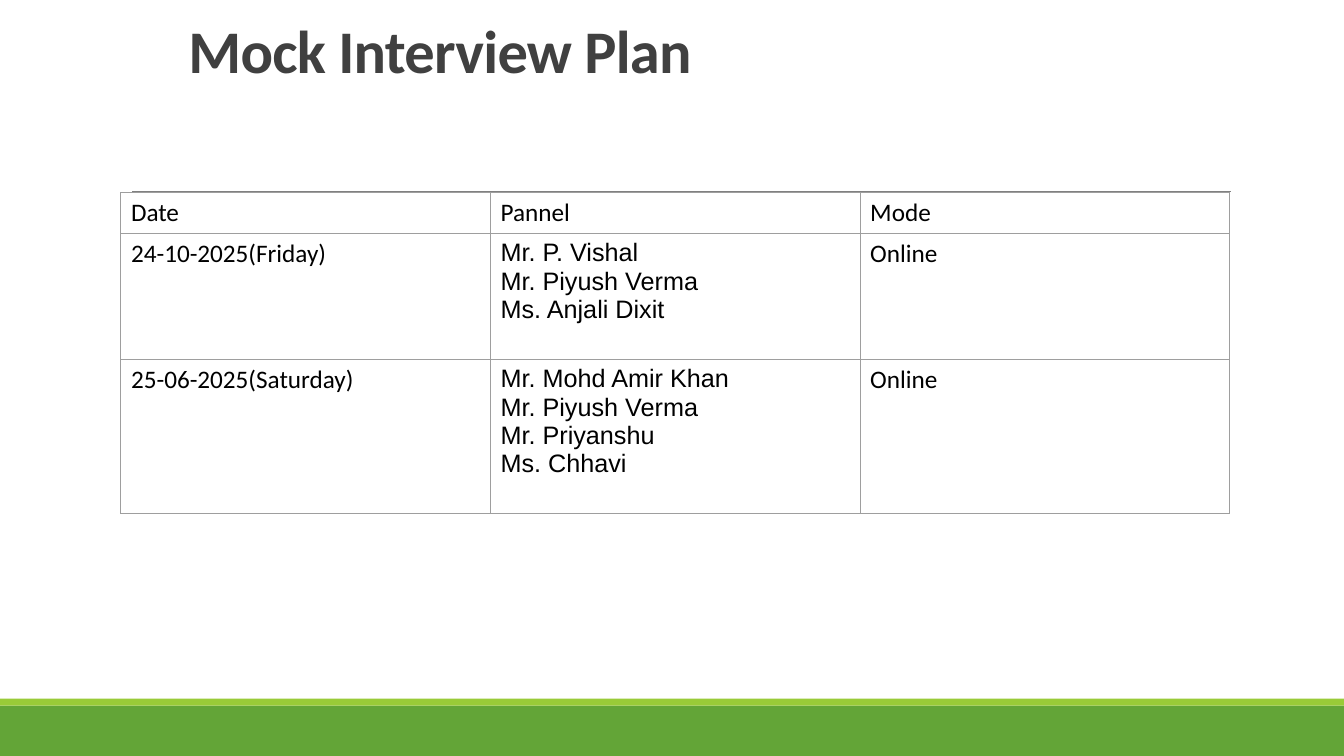
"""Build the mock interview plan slide with its schedule table."""
from dataclasses import dataclass

from lxml import etree
from pptx import Presentation
from pptx import util as u
from pptx.dml.color import RGBColor
from pptx.enum import shapes, text
from pptx.oxml.ns import qn

WIDTH, HEIGHT = u.Inches(13.33), u.Inches(7.5)
GREEN = RGBColor(0x63, 0xA5, 0x37)
LIME = RGBColor(0x99, 0xCB, 0x38)
RULE_GREY = RGBColor(0x80, 0x80, 0x80)
BORDER_GREY = RGBColor(0x9E, 0x9E, 0x9E)
TITLE_GREY = RGBColor(0x40, 0x40, 0x40)
BLACK = RGBColor(0, 0, 0)
COLUMN_SHARE = 27.5
BORDER_SIDES = ("a:lnL", "a:lnR", "a:lnT", "a:lnB")


def across(percent: float) -> int:
    return round(WIDTH * percent / 100)


def down(percent: float) -> int:
    return round(HEIGHT * percent / 100)


@dataclass(frozen=True)
class Band:
    top: float
    height: float
    colour: RGBColor


@dataclass(frozen=True)
class Session:
    height: float
    date: str
    panel: tuple[str, ...]
    mode: str
    panel_font: str = "Arial"


BANDS = (Band(93.33, 6.67, GREEN), Band(92.4, 0.93, LIME))
SESSIONS = (
    Session(5.47, "Date", ("Pannel",), "Mode", "Calibri"),
    Session(16.67, "24-10-2025(Friday)",
            ("Mr. P. Vishal", "Mr. Piyush Verma", "Ms. Anjali Dixit"), "Online"),
    Session(20.27, "25-06-2025(Saturday)",
            ("Mr. Mohd Amir Khan", "Mr. Piyush Verma", "Mr. Priyanshu", "Ms. Chhavi"),
            "Online"),
)


def add_span(para, wording: str, font: str, size: float, colour: RGBColor):
    span = para.add_run()
    span.text = wording
    span.font.name = font
    span.font.size = u.Pt(size)
    span.font.color.rgb = colour
    return span


def add_band(page, band: Band) -> None:
    box = page.shapes.add_shape(shapes.MSO_SHAPE.RECTANGLE, 0, down(band.top),
                                WIDTH, down(band.height))
    box.shadow.inherit = False
    box.fill.solid()
    box.fill.fore_color.rgb = band.colour
    box.line.fill.background()


def add_rule(page) -> None:
    rule = page.shapes.add_connector(shapes.MSO_CONNECTOR.STRAIGHT, across(9.83),
                                     down(25.33), across(91.6), down(25.33))
    rule.line.color.rgb = RULE_GREY
    rule.line.width = u.Pt(0.5)
    etree.SubElement(rule._element.spPr, qn("a:effectLst"))


def add_title(page) -> None:
    box = page.shapes.add_textbox(across(13.28), down(2.13), across(78.24), down(9.87))
    frame = box.text_frame
    frame.word_wrap = True
    frame.vertical_anchor = text.MSO_ANCHOR.BOTTOM
    para = frame.paragraphs[0]
    para.line_spacing = 0.85
    span = add_span(para, "Mock Interview Plan", "Calibri", 43.2, TITLE_GREY)
    span.font.bold = True
    span.font._element.set("spc", "-50")


def add_borders(cell) -> None:
    properties = cell._tc.get_or_add_tcPr()
    for position, side in enumerate(BORDER_SIDES):
        line = etree.Element(qn(side), w=str(u.Pt(0.75)))
        fill = etree.SubElement(line, qn("a:solidFill"))
        etree.SubElement(fill, qn("a:srgbClr"), val=str(BORDER_GREY))
        properties.insert(position, line)


def fill_cell(cell, lines: tuple[str, ...], font: str) -> None:
    cell.fill.background()
    add_borders(cell)
    frame = cell.text_frame
    for number, wording in enumerate(lines):
        para = frame.add_paragraph() if number else frame.paragraphs[0]
        add_span(para, wording, font, 18, BLACK)


def add_schedule(page) -> None:
    total = sum(session.height for session in SESSIONS)
    table = page.shapes.add_table(len(SESSIONS), 3, across(9), down(25.47),
                                  across(3 * COLUMN_SHARE), down(total)).table
    table.first_row = False
    table.horz_banding = False
    for column in table.columns:
        column.width = across(COLUMN_SHARE)
    for row, session in zip(table.rows, SESSIONS):
        row.height = down(session.height)
        date, panel, mode = row.cells
        fill_cell(date, (session.date,), "Calibri")
        fill_cell(panel, session.panel, session.panel_font)
        fill_cell(mode, (session.mode,), "Calibri")


def main() -> None:
    deck = Presentation()
    deck.slide_width, deck.slide_height = WIDTH, HEIGHT
    page = deck.slides.add_slide(deck.slide_layouts[6])
    for band in BANDS:
        add_band(page, band)
    add_rule(page)
    add_title(page)
    add_schedule(page)
    deck.save("out.pptx")


if __name__ == "__main__":
    main()
